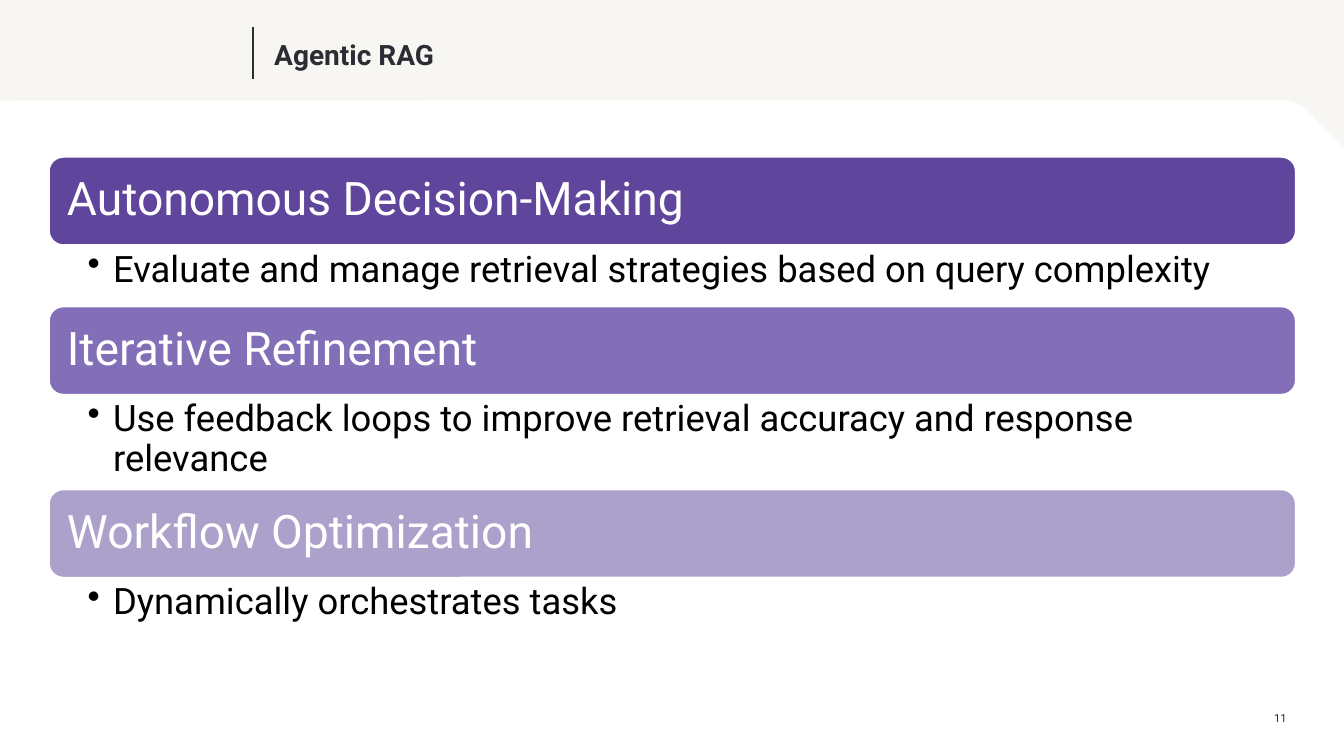
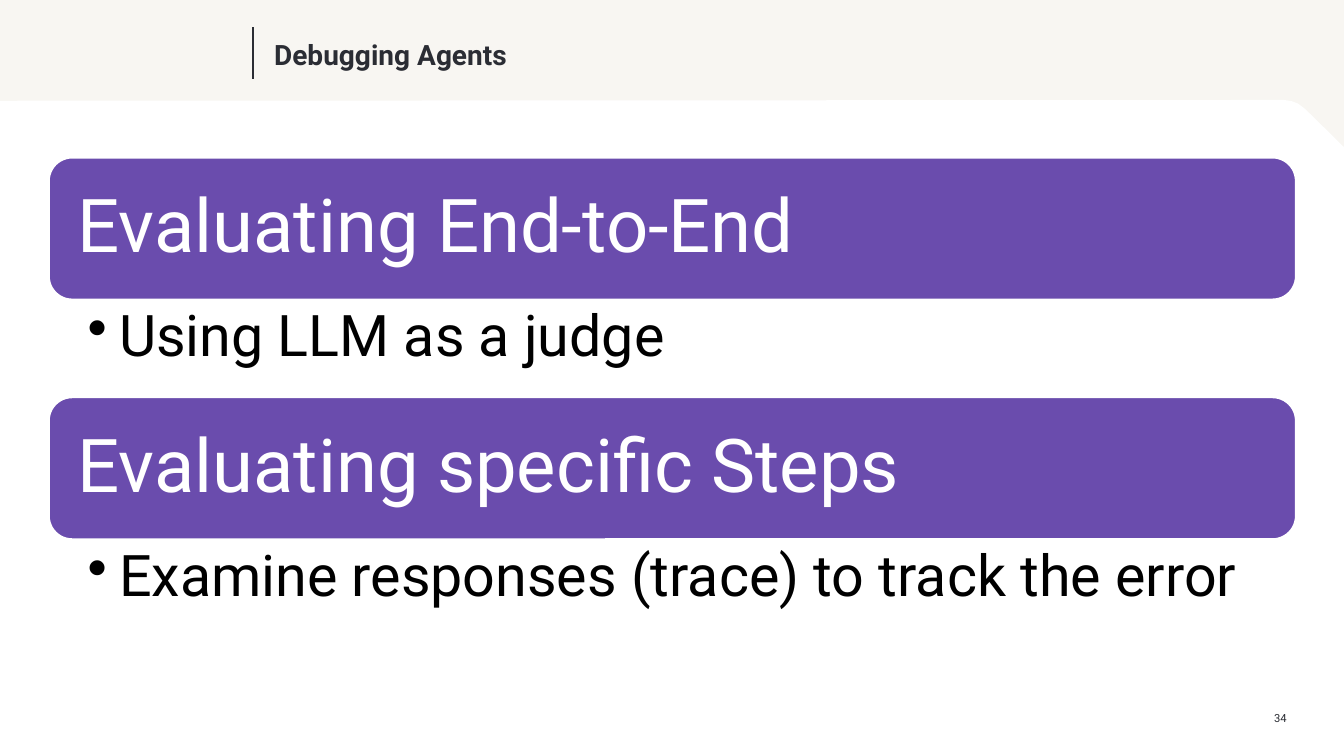
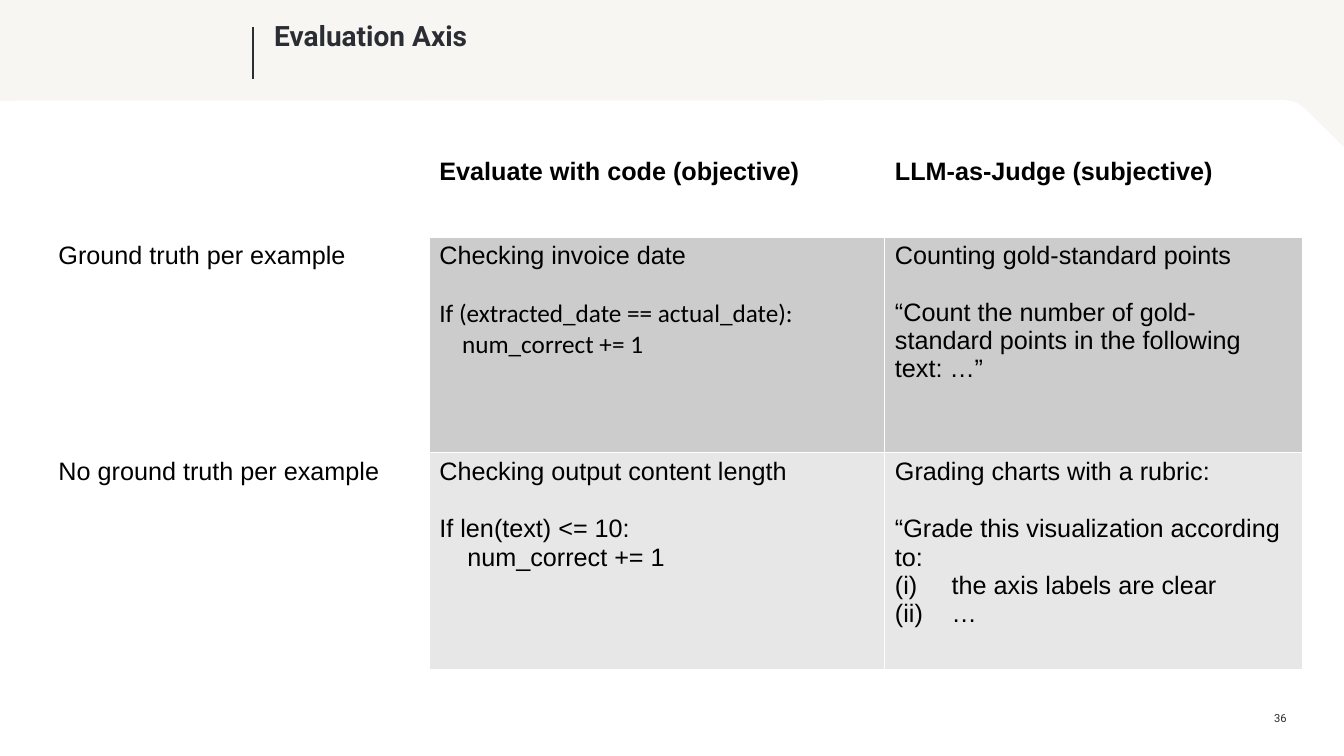
from pptx import Presentation, oxml
from pptx.dml.color import RGBColor
from pptx.enum import shapes, text
from pptx.oxml import ns
from pptx.util import Cm, Pt

INK = {"page": "F8F6F2", "white": "FFFFFF", "dark": "2B2D34", "black": "000000",
       "deep": "60459D", "mid": "836FB8", "pale": "ABA1CB", "plum": "6A4CAD",
       "gray": "CCCCCC", "light": "E7E7E7"}
LEFT, WIDTH = 1.22, 31.45
PANEL = [(33.87, 19.05), (33.87, 3.71), (33.05, 2.9), (32.87, 2.73), (32.71, 2.61),
         (32.55, 2.55), (32.36, 2.52), (0, 2.54), (0, 19.05)]
GAP = {"gap": 20.7}
CODE = {"font": "Calibri"}
ROMAN = {"mark": '<a:buAutoNum {} type="romanLcParenBoth"/>', "hang": 1.43}
DOT = '<a:buChar {} char="•"/>'


def tint(name):
    """Return the named colour."""
    return RGBColor.from_string(INK[name])


def make(xml):
    """Build an element, filling in the drawing namespace."""
    return oxml.parse_xml(xml.format(ns.nsdecls("a")))


def write(frame, words, size=18, color="black", font="Roboto", bold=False,
          align=None, space=None, gap=None, mark=None, hang=0):
    """Add one formatted paragraph, using the first one if it is empty."""
    para = frame.paragraphs[0]
    if para.runs:
        para = frame.add_paragraph()
    if mark:
        props = para._p.get_or_add_pPr()
        props.set("marL", str(Cm(hang)))
        props.set("indent", str(-Cm(hang)))
        props.append(make(mark))
    if align:
        para.alignment = align
    if space:
        para.line_spacing = space
    if gap:
        para.space_before = Pt(gap)
    run = para.add_run()
    run.text = words
    run.font.name, run.font.size, run.font.bold = font, Pt(size), bold
    run.font.color.rgb = tint(color)


def pad(frame, left=0, top=0, right=0, low=0, anchor=text.MSO_ANCHOR.TOP):
    """Set the wrap, margins and anchor of a text frame."""
    frame.word_wrap = True
    frame.margin_left, frame.margin_top = Cm(left), Cm(top)
    frame.margin_right, frame.margin_bottom = Cm(right), Cm(low)
    frame.vertical_anchor = anchor
    return frame


def box(slide, x, y, w, h, **fit):
    """Add a text box and return its frame."""
    return pad(slide.shapes.add_textbox(Cm(x), Cm(y), Cm(w), Cm(h)).text_frame, **fit)


def base(deck, title, page, anchor=text.MSO_ANCHOR.MIDDLE):
    """Add a slide with the shared panel, rule, title and page number."""
    slide = deck.slides.add_slide(deck.slide_layouts[6])
    back = slide.background.fill
    back.solid()
    back.fore_color.rgb = tint("page")
    spots = [(Cm(x), Cm(y)) for x, y in PANEL]
    pen = slide.shapes.build_freeform(*spots[0])
    pen.add_line_segments(spots[1:], close=True)
    panel = pen.convert_to_shape()
    panel.shadow.inherit = False
    panel.fill.solid()
    panel.fill.fore_color.rgb = tint("white")
    panel.line.fill.background()
    rule = slide.shapes.add_connector(shapes.MSO_CONNECTOR.STRAIGHT,
                                      Cm(6.38), Cm(0.69), Cm(6.38), Cm(1.98))
    rule.line.color.rgb, rule.line.width = tint("dark"), Pt(1)
    rule._element.spPr.append(make("<a:effectLst {}/>"))
    write(box(slide, 6.91, 0.61, 26.16, 1.65, anchor=anchor), title, size=20,
          color="dark", bold=True, space=Pt(20))
    write(box(slide, 31.72, 17.93, 0.71, 0.33), str(page), size=8, color="dark",
          align=text.PP_ALIGN.RIGHT)
    return slide


def bar(slide, y, high, words, color, size, inset):
    """Add a rounded heading bar."""
    shape = slide.shapes.add_shape(shapes.MSO_SHAPE.ROUNDED_RECTANGLE,
                                   Cm(LEFT), Cm(y), Cm(WIDTH), Cm(high))
    shape.shadow.inherit = False
    shape.fill.solid()
    shape.fill.fore_color.rgb = tint(color)
    shape.line.color.rgb, shape.line.width = tint("white"), Pt(2)
    frame = pad(shape.text_frame, inset, inset, inset, inset, text.MSO_ANCHOR.MIDDLE)
    write(frame, words, size=size, color="white", space=0.9, align=text.PP_ALIGN.LEFT)


def stack(slide, y, high, items, head, inset, size, hang, right, top):
    """Stack heading bars, each with a bullet below it."""
    for words, color, note, room in items:
        bar(slide, y, high, words, color, head, inset)
        frame = box(slide, LEFT, y + high, WIDTH, room,
                    left=0.99, top=top, right=right, low=top)
        write(frame, note, size=size, space=0.9, mark=DOT, hang=hang)
        y += high + room


def edge(cell, low):
    """Give a cell white borders, the lower one of the given width."""
    props = cell._tc.get_or_add_tcPr()
    for spot, side in enumerate("LRTB"):
        wide = Pt(low if side == "B" else 1)
        props.insert(spot, make(
            f'<a:ln{side} {{}} w="{wide}"><a:solidFill><a:srgbClr val="{INK["white"]}"/>'
            f'</a:solidFill></a:ln{side}>'))


def grid(slide, rows, wide, high, fills):
    """Add a table whose first row and first column are labels."""
    table = slide.shapes.add_table(len(rows), len(wide), Cm(LEFT), Cm(3.84),
                                   Cm(sum(wide)), Cm(sum(high))).table
    table.first_row = table.horz_banding = False
    for col, size in zip(table.columns, wide):
        col.width = Cm(size)
    for r, row in enumerate(rows):
        table.rows[r].height = Cm(high[r])
        for c, lines in enumerate(row):
            cell = table.cell(r, c)
            if r and c:
                cell.fill.solid()
                cell.fill.fore_color.rgb = tint(fills[r - 1])
            else:
                cell.fill.background()
            edge(cell, 1 if r else 3)
            for words, look in lines:
                write(cell.text_frame, words, **{"font": "Arial", "bold": r == 0, **look})


def main():
    """Build the deck."""
    deck = Presentation()
    deck.slide_width, deck.slide_height = Cm(33.87), Cm(19.05)

    slide = base(deck, "Agentic RAG", 11)
    stack(slide, 3.94, 2.25, [
        ("Autonomous Decision-Making", "deep",
         "Evaluate and manage retrieval strategies based on query complexity", 1.52),
        ("Iterative Refinement", "mid",
         "Use feedback loops to improve retrieval accuracy and response relevance", 2.36),
        ("Workflow Optimization", "pale", "Dynamically orchestrates tasks", 1.52),
    ], head=33, inset=0.36, size=26, hang=0.64, right=0.66, top=0.13)

    slide = base(deck, "Debugging Agents", 34)
    stack(slide, 3.96, 3.6, [
        ("Evaluating End-to-End", "plum", "Using LLM as a judge", 2.44),
        ("Evaluating specific Steps", "plum",
         "Examine responses (trace) to track the error", 2.44),
    ], head=53, inset=0.56, size=41, hang=0.79, right=1.04, top=0.18)

    slide = base(deck, "Evaluation Axis", 36, text.MSO_ANCHOR.TOP)
    grid(slide, [
        [[], [("Evaluate with code (objective)", {})], [("LLM-as-Judge (subjective)", {})]],
        [[("Ground truth per example", {})],
         [("Checking invoice date", {}),
          ("If (extracted_date == actual_date):", {**CODE, **GAP}),
          ("    num_correct += 1", CODE)],
         [("Counting gold-standard points", {}),
          ("“Count the number of gold-standard points in the following text: …”", GAP)]],
        [[("No ground truth per example", {})],
         [("Checking output content length", {}),
          ("If len(text) <= 10:", GAP),
          ("    num_correct += 1", {})],
         [("Grading charts with a rubric:", {}),
          ("“Grade this visualization according to:", GAP),
          ("the axis labels are clear", ROMAN),
          ("…", ROMAN)]],
    ], wide=[9.6, 11.48, 10.54], high=[2.11, 5.46, 5.46], fills=["gray", "light"])

    deck.save("out.pptx")


if __name__ == "__main__":
    main()
